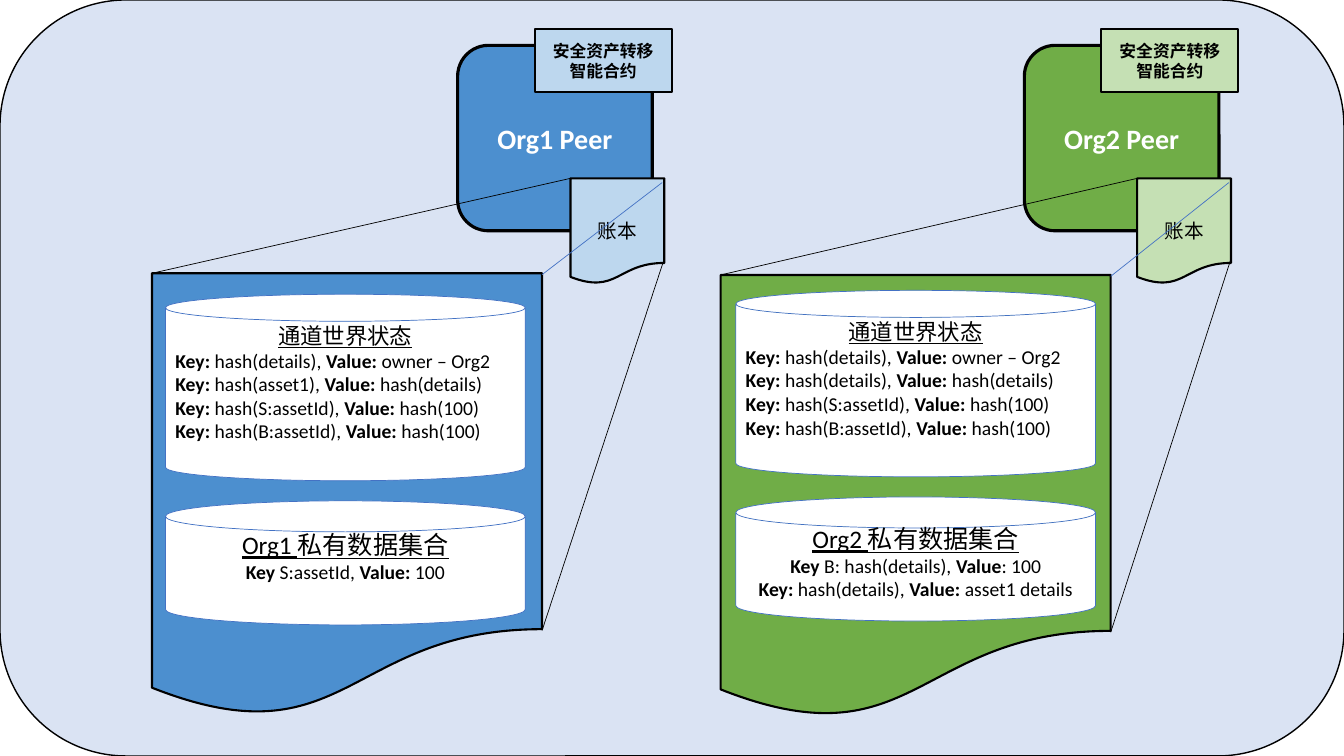
from lxml.etree import SubElement
from pptx import Presentation
from pptx.dml.color import RGBColor
from pptx.enum.shapes import MSO_CONNECTOR, MSO_SHAPE
from pptx.enum.text import MSO_ANCHOR, PP_ALIGN
from pptx.oxml.ns import qn
from pptx.util import Pt

COLORS = {
    "channel": "DAE3F3",
    "black": "000000",
    "white": "FFFFFF",
    "outline": "4472C4",
    "org1": "4C8FCF",
    "org1_light": "BDD7EE",
    "org2": "70AD47",
    "org2_light": "C5E0B4",
}
WIDTH, HEIGHT = 960, 540
PEER_W, PEER_H = 139, 132.5
LEDGER_W, LEDGER_H = 67, 75.4
STORE_W, STORE_H = 278.6, 317
CAN_W = 257
EDGE = 17322 / 21600


def color(name):
    return RGBColor.from_string(COLORS[name])


def add_block(slide, kind, box, fill, line="black", weight=1.5, insets=(3.6,) * 4):
    block = slide.shapes.add_shape(kind, *map(Pt, box))
    block.shadow.inherit = False
    block.fill.solid()
    block.fill.fore_color.rgb = color(fill)
    block.line.color.rgb = color(line)
    block.line.width = Pt(weight)
    frame = block.text_frame
    frame.word_wrap = True
    frame.vertical_anchor = MSO_ANCHOR.MIDDLE
    frame.margin_left, frame.margin_top, frame.margin_right, frame.margin_bottom = map(Pt, insets)
    return block


def write(block, *runs, size=14, ink="black", bold=False, alternate=False,
          underline=False, align=PP_ALIGN.CENTER):
    frame = block.text_frame
    paragraph = frame.add_paragraph() if frame.text else frame.paragraphs[0]
    paragraph.alignment = align
    for index, words in enumerate(runs):
        run = paragraph.add_run()
        run.text = words
        run.font.name = "Calibri"
        run.font.size = Pt(size)
        run.font.color.rgb = color(ink)
        run.font.bold = index % 2 == 0 if alternate else bold
        run.font.underline = underline


def add_ray(slide, start, end, ink="black"):
    ray = slide.shapes.add_connector(MSO_CONNECTOR.STRAIGHT, *map(Pt, (*start, *end)))
    ray.line.color.rgb = color(ink)
    ray.line.width = Pt(0.5)
    SubElement(ray._element.spPr, qn("a:effectLst"))


def add_peer(slide, left, top, org, name):
    peer = add_block(slide, MSO_SHAPE.ROUNDED_RECTANGLE, (left, top, PEER_W, PEER_H), org, weight=2.25)
    write(peer, f"{name} Peer", size=20, ink="white", bold=True)

    ledger_left, ledger_top = left + 80.6, top + 95
    ledger = add_block(slide, MSO_SHAPE.FLOWCHART_DOCUMENT,
                       (ledger_left, ledger_top, LEDGER_W, LEDGER_H),
                       f"{org}_light", insets=(3.6, 18, 3.6, 3.6))
    write(ledger, "账本")

    contract = add_block(slide, MSO_SHAPE.RECTANGLE, (left + 55, top - 11.5, 97.9, 44.6),
                         f"{org}_light", insets=(7.2, 3.6, 7.2, 3.6))
    write(contract, "安全资产转移智能合约", size=12, bold=True)
    return ledger_left, ledger_top


def add_can(slide, box, adjustment, bottom_inset):
    can = add_block(slide, MSO_SHAPE.CAN, box, "white", "outline", 0.5, (7.2, 0, 7.2, bottom_inset))
    can.adjustments[0] = adjustment
    return can


def add_store(slide, left, top, org, name, can_offset, details, private, private_inset):
    add_block(slide, MSO_SHAPE.FLOWCHART_DOCUMENT, (left, top, STORE_W, STORE_H), org)
    can_left, can_top = left + can_offset[0], top + can_offset[1]

    world = add_can(slide, (can_left, can_top, CAN_W, 133.2), 0.145, 17)
    write(world, "通道世界状态", size=16, underline=True)
    entries = [("hash(details), ", "owner – Org2"), (details, "hash(details)"),
               ("hash(S:assetId), ", "hash(100)"), ("hash(B:assetId), ", "hash(100)")]
    for key, value in entries:
        write(world, "Key: ", key, "Value: ", value, alternate=True, align=PP_ALIGN.LEFT)

    collection = add_can(slide, (can_left, can_top + 147.6, CAN_W, 88.6), 0.25, private_inset)
    write(collection, f"{name} 私有数据集合", size=18, underline=True)
    for runs in private:
        write(collection, *runs, alternate=True)


def add_zoom(slide, ledger, store):
    (ledger_left, ledger_top), (store_left, store_top) = ledger, store
    ledger_right, store_right = ledger_left + LEDGER_W, store_left + STORE_W
    add_ray(slide, (ledger_right - 1.5, ledger_top + 3), (store_right, store_top + 1), "outline")
    add_ray(slide, (ledger_right, ledger_top + LEDGER_H * EDGE - 3),
            (store_right, store_top + STORE_H * EDGE + 1))
    add_ray(slide, ledger, (store_left, store_top))


def main():
    deck = Presentation()
    deck.slide_width, deck.slide_height = Pt(WIDTH), Pt(HEIGHT)
    slide = deck.slides.add_slide(deck.slide_layouts[6])
    add_block(slide, MSO_SHAPE.ROUNDED_RECTANGLE, (0, 0, WIDTH, HEIGHT), "channel", weight=1)

    orgs = [
        ("org1", "Org1", 326.9, (108.6, 195.2), (9.6, 15), "hash(asset1), ",
         [("Key ", "S:assetId, ", "Value:", " 100")], 20),
        ("org2", "Org2", 731.7, (514.8, 196.4), (10.8, 11), "hash(details), ",
         [("Key", " B: hash(details), ", "Value", ": 100"),
          ("Key:", " hash(details), ", "Value: ", "asset1 details")], 6.5),
    ]
    for org, name, peer_left, store, can_offset, details, private, inset in orgs:
        ledger = add_peer(slide, peer_left, 32.4, org, name)
        add_store(slide, *store, org, name, can_offset, details, private, inset)
        add_zoom(slide, ledger, store)

    deck.save("out.pptx")


if __name__ == "__main__":
    main()
